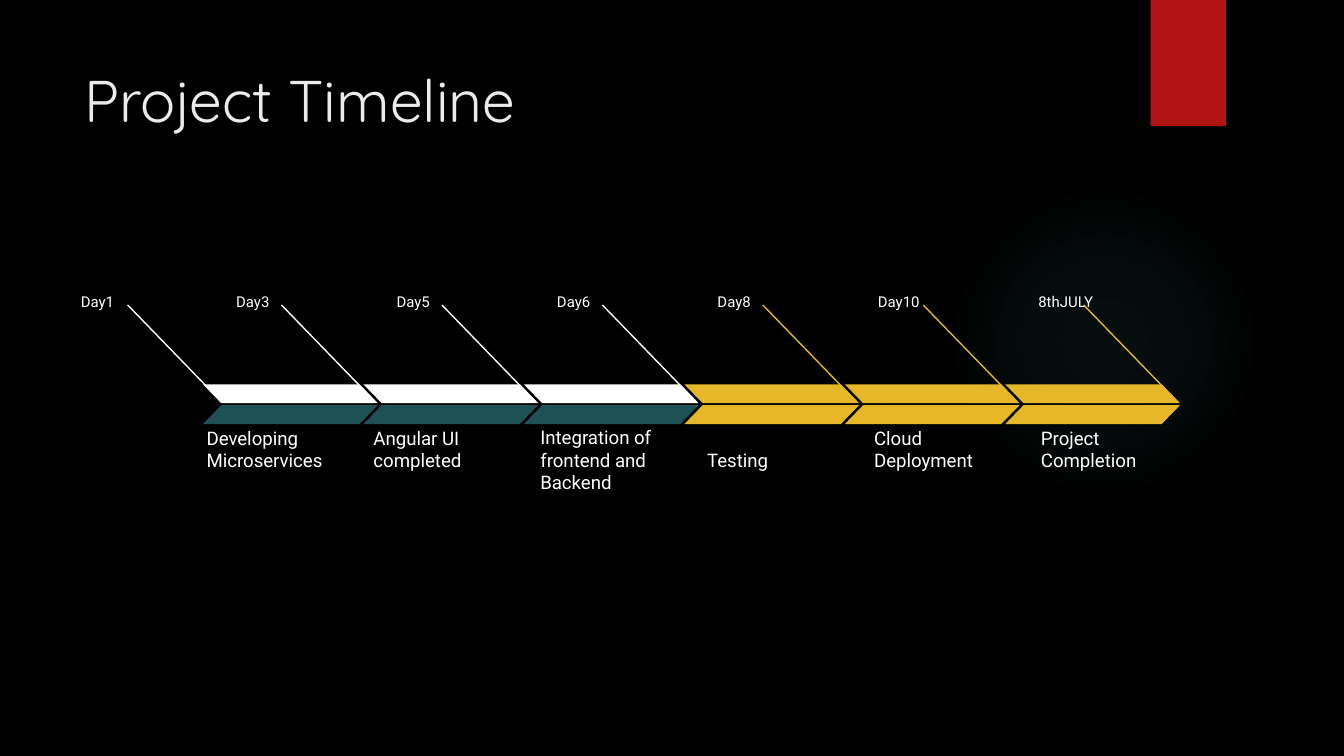
from lxml import etree
from pptx import Presentation
from pptx.dml.color import RGBColor
from pptx.enum import shapes, text
from pptx.oxml import parse_xml
from pptx.oxml.ns import nsdecls, qn
from pptx.util import Pt

BLACK = RGBColor(0x00, 0x00, 0x00)
WHITE = RGBColor(0xFF, 0xFF, 0xFF)
PALE = RGBColor(0xEB, 0xEB, 0xEB)
RED = RGBColor(0xB0, 0x15, 0x13)
TEAL = RGBColor(0x1E, 0x51, 0x55)
GOLD = RGBColor(0xE6, 0xB7, 0x29)
CYAN = RGBColor(0x50, 0xB9, 0xC1)

PITCH = 85.95
NOTE_PITCH = 89.4
# Day, its label width, caption, caption top, upper colour, lower colour
STEPS = [
    ("Day3", 42.5, "Developing Microservices", 228.2, WHITE, TEAL),
    ("Day5", 42.5, "Angular UI completed", 228.2, WHITE, TEAL),
    ("Day6", 42.5, "Integration of frontend and Backend", 239.8, WHITE, TEAL),
    ("Day8", 42.5, "Testing", 226.7, GOLD, GOLD),
    ("Day10", 42.5, "Cloud Deployment", 228.2, GOLD, GOLD),
    ("8thJULY", 59, "Project Completion", 228.2, GOLD, GOLD),
]
MARGINS = ("margin_left", "margin_right", "margin_top", "margin_bottom")


def add_text(slide, words, box, size, font="Roboto", color=WHITE,
             anchor=text.MSO_ANCHOR.TOP):
    frame = slide.shapes.add_textbox(*map(Pt, box)).text_frame
    looks = dict.fromkeys(MARGINS, Pt(7.2))
    looks.update(word_wrap=True, vertical_anchor=anchor)
    for name, value in looks.items():
        setattr(frame, name, value)
    run = frame.paragraphs[0].add_run()
    run.text = words
    for name, value in {"size": Pt(size), "name": font}.items():
        setattr(run.font, name, value)
    run.font.color.rgb = color


def add_block(slide, kind, box, color):
    shape = slide.shapes.add_shape(kind, *map(Pt, box))
    shape.shadow.inherit = False
    shape.fill.solid()
    shape.fill.fore_color.rgb = color
    shape.line.fill.background()
    return shape


def add_glow(slide):
    """A faint round light that fades outwards."""
    glow = add_block(slide, shapes.MSO_SHAPE.OVAL,
                     (508.3, 99.4, 166.3, 166.3), CYAN)
    stops = "".join(
        f'<a:gs pos="{pos}000"><a:srgbClr val="{CYAN}">'
        f'<a:alpha val="{alpha}000"/></a:srgbClr></a:gs>'
        for pos, alpha in ((0, 7), (36, 6), (69, 0)))
    grad = parse_xml(
        f'<a:gradFill {nsdecls("a")}><a:gsLst>{stops}</a:gsLst>'
        '<a:path path="circle"><a:fillToRect l="50000" t="50000" '
        'r="50000" b="50000"/></a:path></a:gradFill>')
    props = glow.element.spPr
    props.replace(props.find(qn("a:solidFill")), grad)


def add_lead(slide, left, color):
    """A slanted line from a day label down to the band."""
    ends = (left, 163.4, left + 50.2, 215.2)
    line = slide.shapes.add_connector(shapes.MSO_CONNECTOR.STRAIGHT,
                                      *map(Pt, ends))
    line.line.color.rgb = color
    line.line.width = Pt(0.75)
    etree.SubElement(line.element.spPr, qn("a:effectLst"))


def add_arrow(slide, left, upper, lower):
    """Two mirrored halves that form a chevron."""
    for top, color, flip in ((205.9, upper, True), (217.1, lower, False)):
        half = add_block(slide, shapes.MSO_SHAPE.PARALLELOGRAM,
                         (left, top, 93.6, 10.1), color)
        half.adjustments[0] = 0.97
        if flip:
            half.element.spPr.xfrm.set("flipH", "1")


def add_day(slide, words, left, width=42.5):
    add_text(slide, words, (left, 151.8, width, 16.6), 8)


def main():
    deck = Presentation()
    deck.slide_width, deck.slide_height = Pt(720), Pt(405)
    slide = deck.slides.add_slide(deck.slide_layouts[6])
    slide.background.fill.solid()
    slide.background.fill.fore_color.rgb = BLACK

    add_glow(slide)
    add_block(slide, shapes.MSO_SHAPE.RECTANGLE, (616.4, 0, 40.4, 67.5), RED)
    add_text(slide, "Project Timeline", (38.2, 27, 555, 82.8), 31.5,
             "Quicksand", PALE)

    for i, (day, width, note, top, upper, lower) in enumerate(STEPS):
        add_day(slide, day, 119.4 + PITCH * i, width)
        add_text(slide, note, (103.6 + NOTE_PITCH * i, top,
                               92 if i == 0 else 89.3, 31.7),
                 10, anchor=text.MSO_ANCHOR.BOTTOM)
        add_lead(slide, 150.8 + PITCH * i, upper)
        add_arrow(slide, 108.8 + PITCH * i, upper, lower)

    add_day(slide, "Day1", 36.2)
    add_lead(slide, 68.4, WHITE)
    deck.save("out.pptx")


if __name__ == "__main__":
    main()
